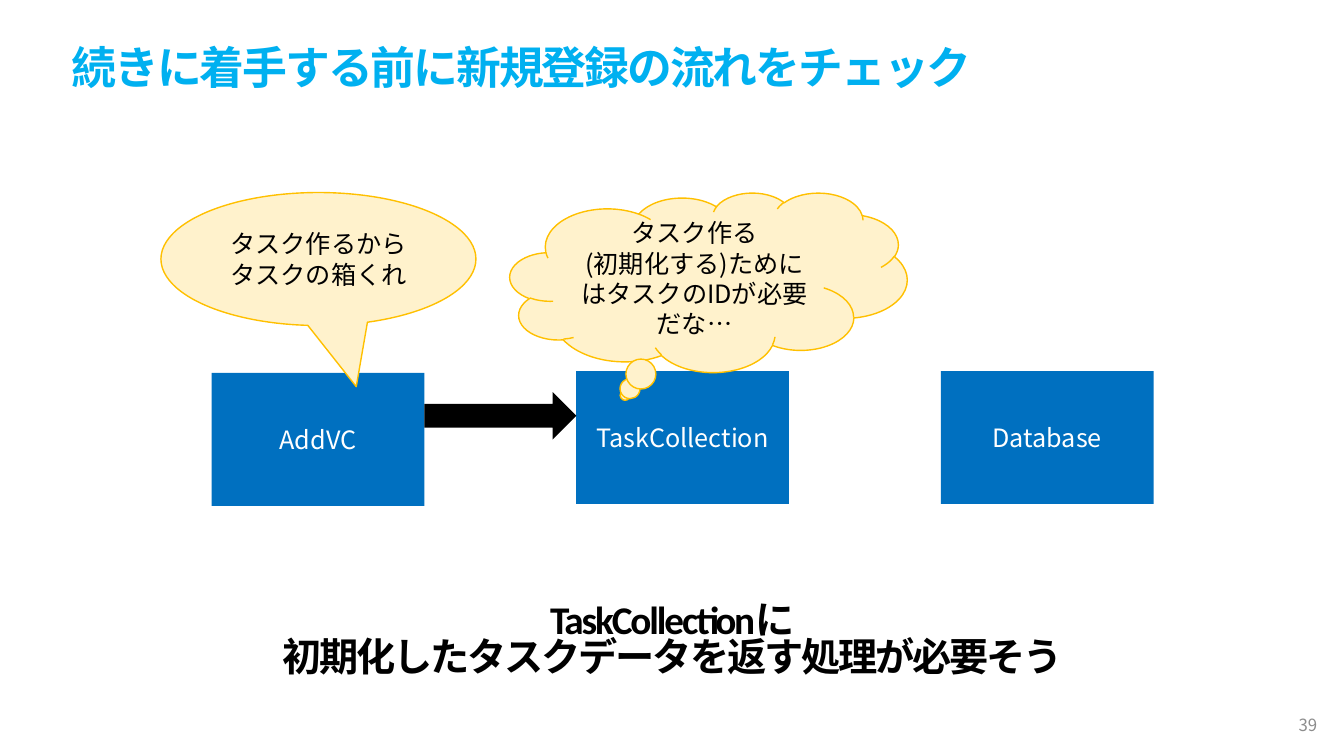
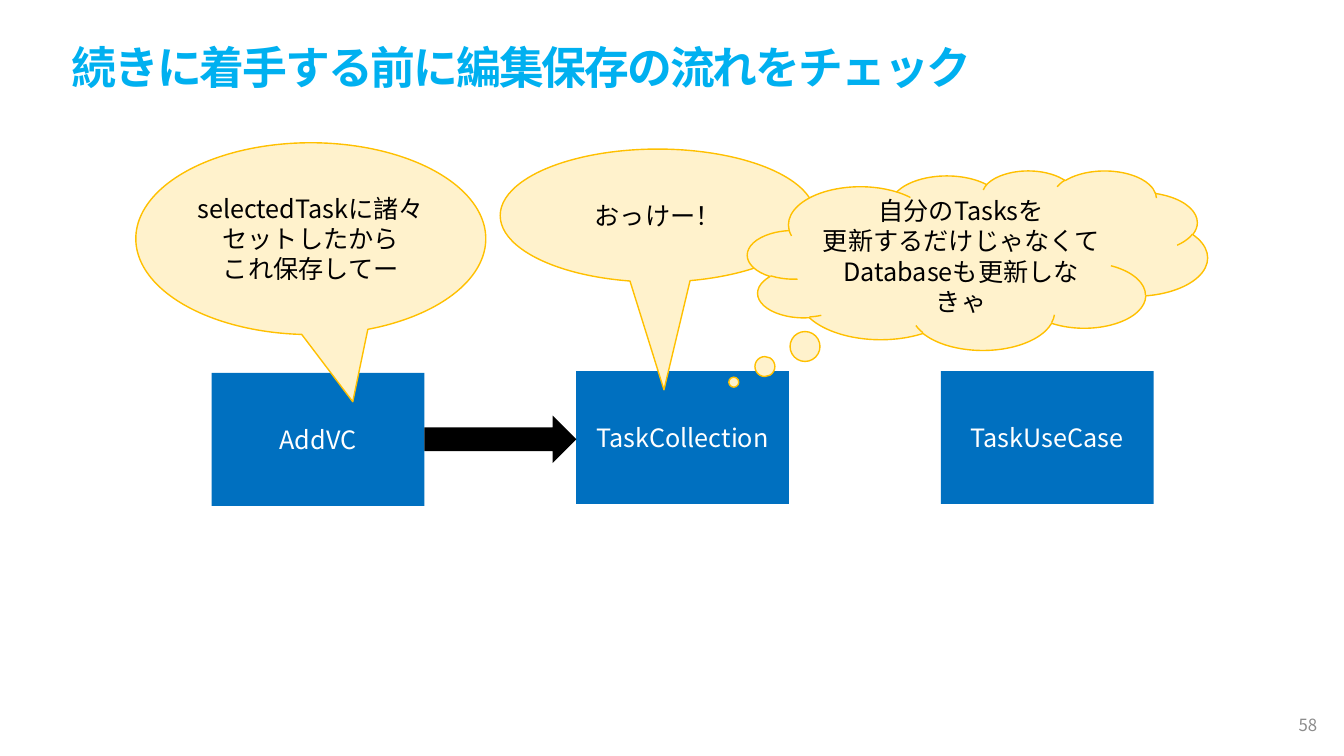
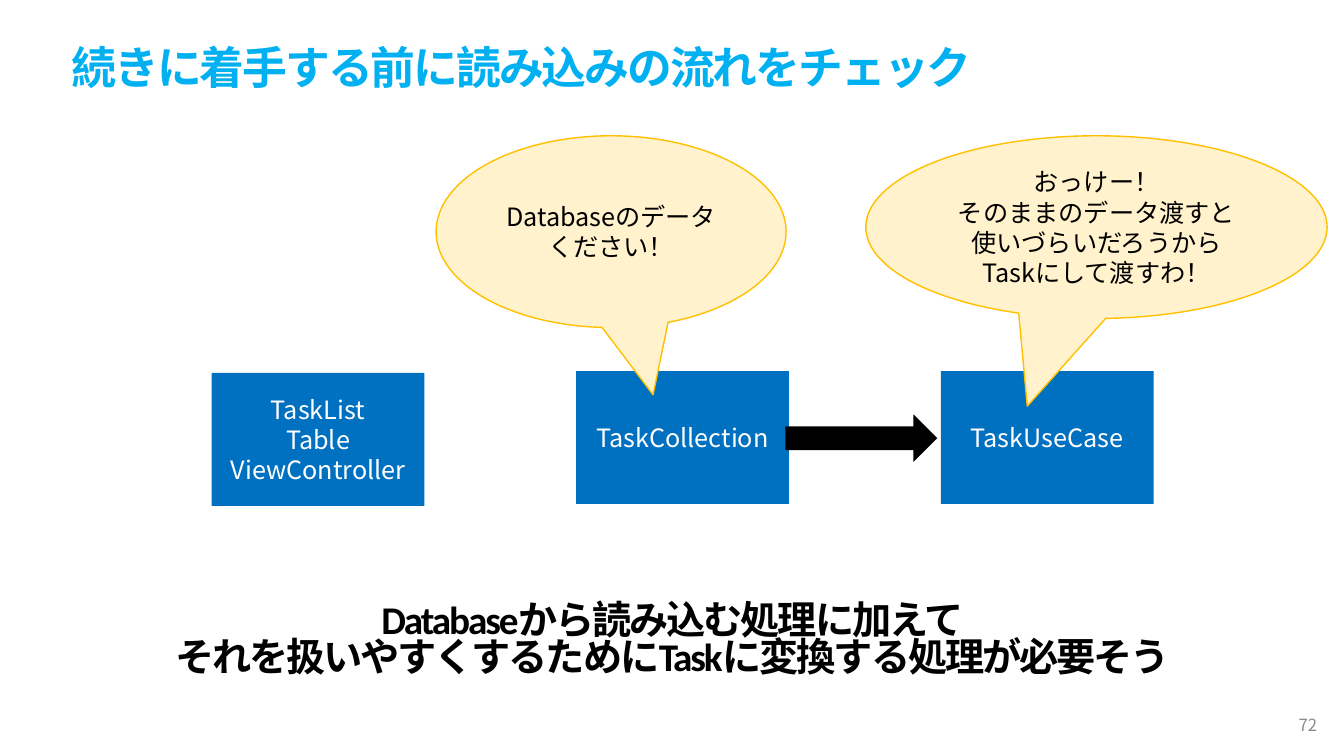
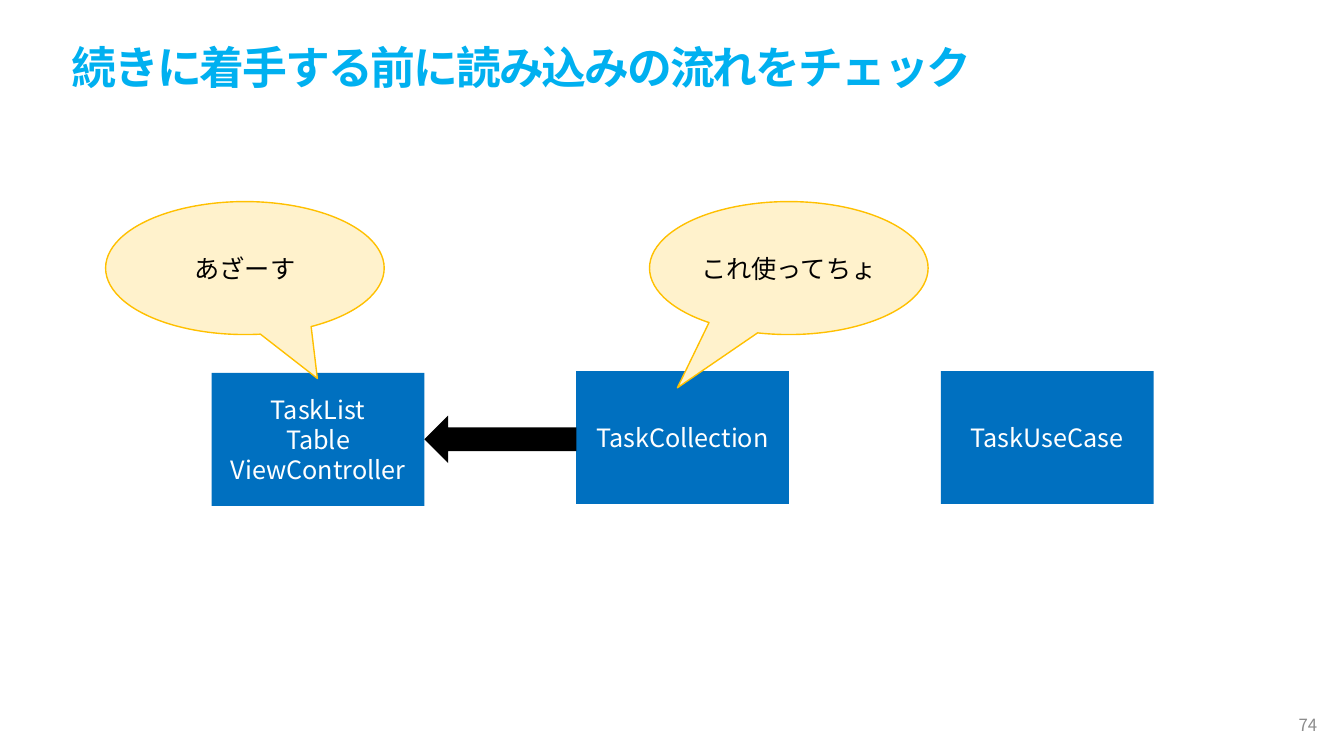
import pptx
import pptx.util
import pptx.dml.color
import pptx.enum.shapes
import pptx.enum.text
import pptx.oxml
import pptx.oxml.ns

Pt = pptx.util.Pt
RGB = pptx.dml.color.RGBColor
SHAPE = pptx.enum.shapes.MSO_SHAPE
ALIGN = pptx.enum.text.PP_ALIGN
MIDDLE = pptx.enum.text.MSO_ANCHOR.MIDDLE

SKY = RGB(0x00, 0xB0, 0xF0)
BLUE = RGB(0x00, 0x70, 0xC0)
CREAM = RGB(0xFF, 0xF2, 0xCC)
GOLD = RGB(0xFF, 0xC0, 0x00)
GREY = RGB(0x8C, 0x8C, 0x8C)
BLACK = RGB(0, 0, 0)
WHITE = RGB(0xFF, 0xFF, 0xFF)
LATIN_HEAD = "Calibri"
JAPANESE = "Noto Sans CJK JP"

BOX_LEFT, BOX_STEP, BOX_W, BOX_H = 151.2, 260.4, 152, 95
BOX_TOPS = (266.4, 265, 265)
ARROW_W, ARROW_H = 108.5, 34
ELLIPSE, CLOUD = SHAPE.OVAL_CALLOUT, SHAPE.CLOUD_CALLOUT
RIGHT, LEFT = SHAPE.RIGHT_ARROW, SHAPE.LEFT_ARROW

VIEW = "TaskList\nTable\nViewController"
SLIDES = [
    dict(
        number="39",
        title="続きに着手する前に新規登録の流れをチェック",
        boxes=("AddVC", "TaskCollection", "Database"),
        callouts=[
            (CLOUD, (364.3, 137.5, 283.7, 128.2), (-0.21, 0.63),
             "タスク作る\n(初期化する)ためにはタスクのIDが必要だな…"),
            (ELLIPSE, (115, 137.5, 225, 95), (0.12, 0.96),
             "タスク作るから\nタスクの箱くれ"),
        ],
        arrow=(RIGHT, 303.2, 280),
        message="TaskCollectionに\n初期化したタスクデータを返す処理が必要そう",
    ),
    dict(
        number="58",
        title="続きに着手する前に編集保存の流れをチェック",
        boxes=("AddVC", "TaskCollection", "TaskUseCase"),
        callouts=[
            (ELLIPSE, (97, 102, 250, 137), (0.12, 0.85),
             "selectedTaskに諸々セットしたから\nこれ保存してー"),
            (ELLIPSE, (357.3, 106.5, 225, 95), (0.02, 1.31), "おっけー！"),
            (CLOUD, (534, 121.7, 328.5, 128.2), (-0.53, 0.68),
             "自分のTasksを\n更新するだけじゃなくて\nDatabaseも更新しなきゃ"),
        ],
        arrow=(RIGHT, 303.2, 296.8),
    ),
    dict(
        number="72",
        title="続きに着手する前に読み込みの流れをチェック",
        boxes=(VIEW, "TaskCollection", "TaskUseCase"),
        callouts=[
            (ELLIPSE, (311.5, 97, 250, 137), (0.12, 0.85),
             "Databaseのデータ\nください！"),
            (ELLIPSE, (618.5, 97, 329.5, 130.5), (-0.15, 0.98),
             "おっけー！\nそのままのデータ渡すと\n使いづらいだろうから\nTaskにして渡すわ！"),
        ],
        arrow=(RIGHT, 561, 296),
        message="Databaseから読み込む処理に加えて\n"
                "それを扱いやすくするためにTaskに変換する処理が必要そう",
    ),
    dict(
        number="74",
        title="続きに着手する前に読み込みの流れをチェック",
        boxes=(VIEW, "TaskCollection", "TaskUseCase"),
        callouts=[
            (ELLIPSE, (464, 144, 199, 95), (-0.4, 0.9), "これ使ってちょ"),
            (ELLIPSE, (75.5, 144, 199, 95), (0.26, 0.83), "あざーす"),
        ],
        arrow=(LEFT, 303.2, 296.8),
    ),
]


def write(sp, text, size=18, color=BLACK, font=JAPANESE, bold=False,
          align=ALIGN.CENTER, tracking=0, spacing=1.0):
    tf = sp.text_frame
    tf.word_wrap = True
    tf.auto_size = pptx.enum.text.MSO_AUTO_SIZE.NONE
    tf.vertical_anchor = MIDDLE
    for i, line in enumerate(text.split("\n")):
        p = tf.add_paragraph() if i else tf.paragraphs[0]
        p.alignment = align
        p.line_spacing = spacing
        r = p.add_run()
        r.text = line
        r.font.size = Pt(size)
        r.font.bold = bold
        r.font.color.rgb = color
        r.font.name = font
        rpr = r.font._element
        if tracking:
            rpr.set("spc", str(int(tracking * 100)))
        ea = pptx.oxml.parse_xml(
            '<a:ea %s typeface="%s"/>' % (pptx.oxml.ns.nsdecls("a"), JAPANESE))
        rpr.find(pptx.oxml.ns.qn("a:latin")).addnext(ea)


def add_shape(s, kind, rect, fill, line=None):
    sp = s.shapes.add_shape(kind, *map(Pt, rect))
    sp.shadow.inherit = False
    sp.fill.solid()
    sp.fill.fore_color.rgb = fill
    if line is None:
        sp.line.fill.background()
    else:
        sp.line.color.rgb = line
        sp.line.width = Pt(1)
    return sp


def add_text(s, rect, text, **fmt):
    write(s.shapes.add_textbox(*map(Pt, rect)), text, **fmt)


def build_slide(prs, number, title, boxes, callouts, arrow, message=None):
    s = prs.slides.add_slide(prs.slide_layouts[5])
    head = s.shapes.title
    head.left, head.top, head.width, head.height = map(Pt, (44, 24.5, 888, 46))
    write(head, title, size=32, color=SKY, font=LATIN_HEAD, bold=True,
          align=ALIGN.LEFT, tracking=-1.5)
    add_text(s, (732, 503.5, 216, 28.8), number, size=12, color=GREY,
             align=ALIGN.RIGHT)
    for i, (name, top) in enumerate(zip(boxes, BOX_TOPS)):
        rect = (BOX_LEFT + i * BOX_STEP, top, BOX_W, BOX_H)
        write(add_shape(s, SHAPE.RECTANGLE, rect, BLUE), name, color=WHITE)
    kind, left, top = arrow
    add_shape(s, kind, (left, top, ARROW_W, ARROW_H), BLACK)
    for kind, rect, tail, words in callouts:
        sp = add_shape(s, kind, rect, CREAM, GOLD)
        sp.adjustments[0], sp.adjustments[1] = tail
        write(sp, words)
    if message:
        add_text(s, (86.4, 421.2, 787.7, 74.2), message, size=28,
                 font=LATIN_HEAD, bold=True, tracking=-1.5, spacing=0.8)


def main():
    prs = pptx.Presentation()
    prs.slide_width, prs.slide_height = Pt(960), Pt(540)
    for content in SLIDES:
        build_slide(prs, **content)
    prs.save("out.pptx")


if __name__ == "__main__":
    main()
